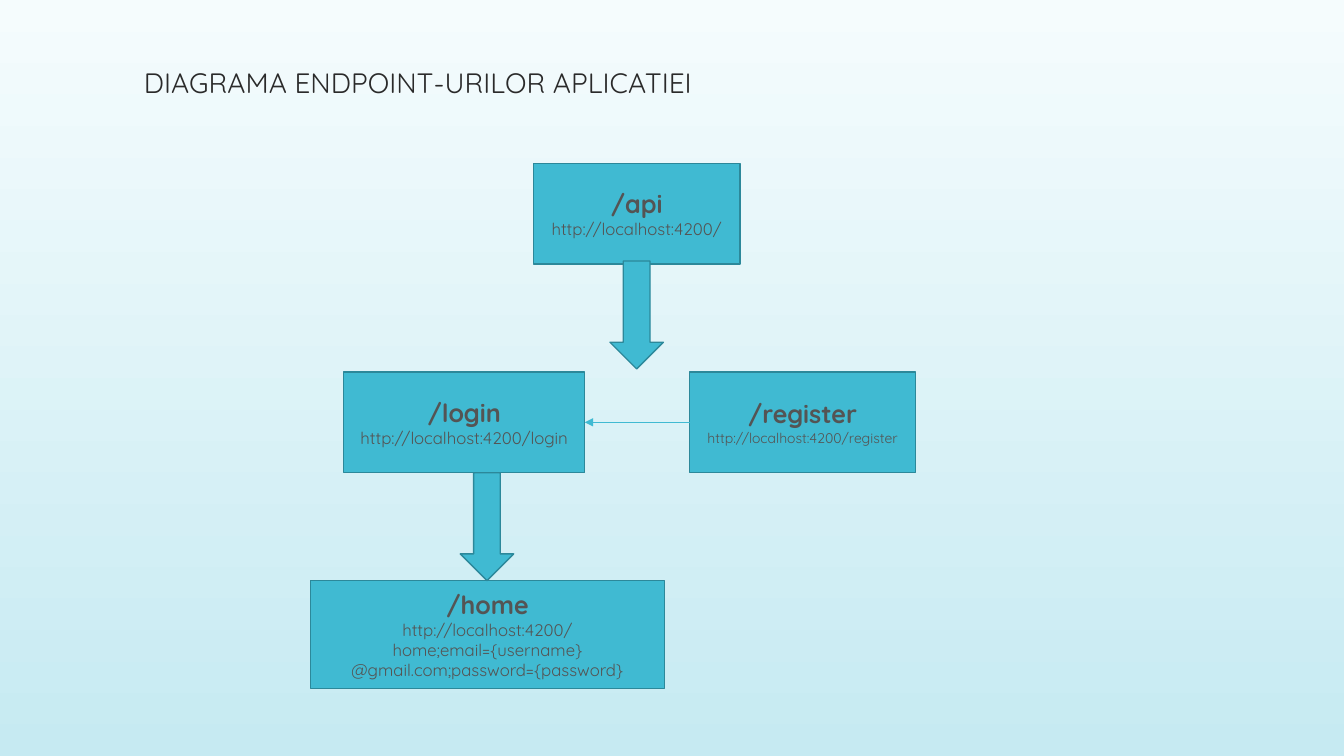
from lxml import etree
from pptx import Presentation
from pptx.dml.color import RGBColor
from pptx.enum import shapes, text
from pptx.oxml import ns
from pptx.util import Inches, Pt

# Content
TITLE = "DIAGRAMA ENDPOINT-URILOR APLICATIEI"
# name: (left, top, width, height, address, address size)
ENDPOINTS = {
    "/api": (5.29, 1.62, 2.05, 1, "http://localhost:4200/", 12),
    "/login": (3.41, 3.69, 2.39, 1, "http://localhost:4200/login", 12),
    "/register": (6.84, 3.69, 2.24, 1, "http://localhost:4200/register", 10),
    "/home": (3.08, 5.76, 3.51, 1.07,
              "http://localhost:4200/home;email={username}@gmail.com;password={password}", 12),
}
# Block arrows: (centre, top)
BLOCK_ARROWS = [(6.315, 2.59), (4.83, 4.69)]
ARROW_WIDTH, ARROW_HEIGHT = 0.53, 1.07

FONT = "Quicksand"
TITLE_COLOR = RGBColor(0x2A, 0x2A, 0x2A)
TEXT_COLOR = RGBColor(0x54, 0x54, 0x54)
BOX_FILL = RGBColor(0x40, 0xBA, 0xD2)
BOX_LINE = RGBColor(0x2C, 0x88, 0x9A)
BACKGROUND = [RGBColor(0xF5, 0xFC, 0xFD), RGBColor(0xC6, 0xEA, 0xF2)]


def write(paragraph, content, size, color=TEXT_COLOR, bold=False,
          align=text.PP_ALIGN.CENTER, spacing=1.0):
    paragraph.alignment = align
    paragraph.line_spacing = spacing
    run = paragraph.add_run()
    run.text = content
    run.font.name = FONT
    run.font.size = Pt(size)
    run.font.bold = bold
    run.font.color.rgb = color


def add_block(slide, kind, *box):
    shape = slide.shapes.add_shape(kind, *map(Inches, box))
    shape.shadow.inherit = False
    shape.fill.solid()
    shape.fill.fore_color.rgb = BOX_FILL
    shape.line.color.rgb = BOX_LINE
    shape.line.width = Pt(1)
    return shape


def add_endpoint(slide, name, left, top, width, height, address, size):
    shape = add_block(slide, shapes.MSO_SHAPE.RECTANGLE, left, top, width, height)
    frame = shape.text_frame
    frame.word_wrap = True
    frame.vertical_anchor = text.MSO_ANCHOR.MIDDLE
    write(frame.paragraphs[0], name, 18, bold=True)
    write(frame.add_paragraph(), address, size)
    return shape


def main():
    presentation = Presentation()
    presentation.slide_width, presentation.slide_height = Inches(13.33), Inches(7.5)
    slide = presentation.slides.add_slide(presentation.slide_layouts[6])

    # Background, light at the top
    fill = slide.background.fill
    fill.gradient()
    fill.gradient_angle = 270
    for position, (stop, color) in enumerate(zip(fill.gradient_stops, BACKGROUND)):
        stop.position = position
        stop.color.rgb = color

    # Title
    title = slide.shapes.add_textbox(*map(Inches, (1.33, 0.3, 10.67, 0.74)))
    title.text_frame.word_wrap = True
    title.text_frame.vertical_anchor = text.MSO_ANCHOR.BOTTOM
    write(title.text_frame.paragraphs[0], TITLE, 20, color=TITLE_COLOR,
          align=text.PP_ALIGN.LEFT, spacing=0.9)

    # Endpoints and the block arrows between levels
    boxes = {name: add_endpoint(slide, name, *details)
             for name, details in ENDPOINTS.items()}
    for centre, top in BLOCK_ARROWS:
        add_block(slide, shapes.MSO_SHAPE.DOWN_ARROW,
                  centre - ARROW_WIDTH / 2, top, ARROW_WIDTH, ARROW_HEIGHT)

    # Thin arrow from register to login
    connector = slide.shapes.add_connector(shapes.MSO_CONNECTOR.STRAIGHT, 0, 0, 0, 0)
    connector.begin_connect(boxes["/register"], 1)
    connector.end_connect(boxes["/login"], 3)
    connector.line.color.rgb = BOX_FILL
    connector.line.width = Pt(0.5)
    etree.SubElement(connector.line._get_or_add_ln(), ns.qn("a:tailEnd"), type="triangle")
    etree.SubElement(connector._element.spPr, ns.qn("a:effectLst"))

    presentation.save("out.pptx")


if __name__ == "__main__":
    main()
